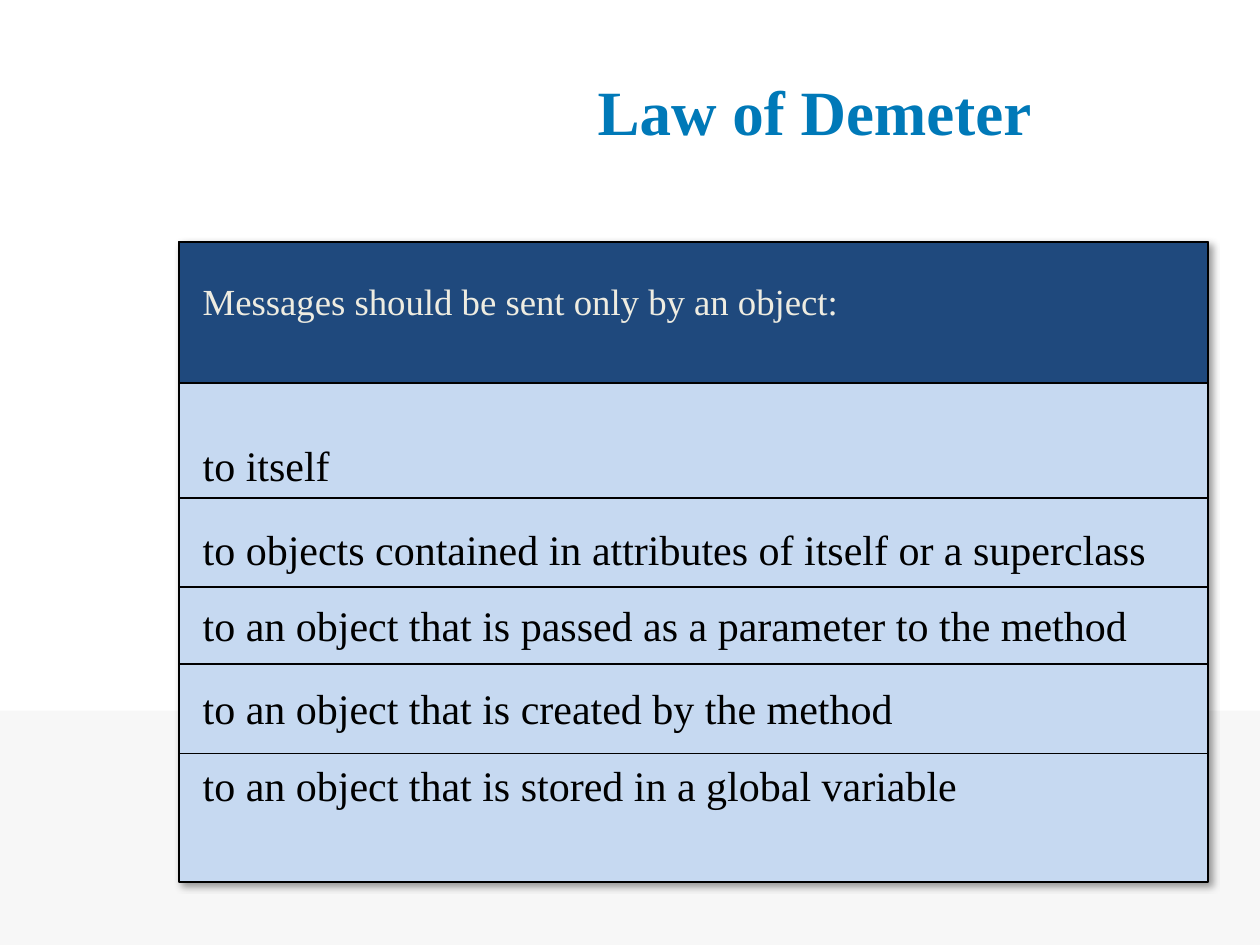
from collections import namedtuple

from lxml import etree
from pptx import Presentation
from pptx.dml.color import RGBColor
from pptx.enum.shapes import MSO_CONNECTOR, MSO_SHAPE
from pptx.enum.text import MSO_ANCHOR, PP_ALIGN
from pptx.oxml.ns import qn
from pptx.util import Inches, Pt

RECTANGLE = MSO_SHAPE.RECTANGLE
STRAIGHT = MSO_CONNECTOR.STRAIGHT
MIDDLE, TOP = MSO_ANCHOR.MIDDLE, MSO_ANCHOR.TOP
CENTER, LEFT = PP_ALIGN.CENTER, PP_ALIGN.LEFT

BLACK = RGBColor(0x00, 0x00, 0x00)
PALE_GRAY = RGBColor(0xF7, 0xF7, 0xF7)
TITLE_BLUE = RGBColor(0x00, 0x79, 0xB8)
NAVY = RGBColor(0x1F, 0x49, 0x7D)
PALE_BLUE = RGBColor(0xC6, 0xD9, 0xF1)
CREAM = RGBColor(0xEE, 0xEC, 0xE1)
FONT = "Times New Roman"

Box = namedtuple("Box", "left top width height")
PAGE = Box(0, 0, 10, 7.5)
TITLE = Box(3.35, 0.25, 6.23, 1.25)
PANEL = Box(1.42, 1.92, 8.17, 5.08)

HEADING = "Messages should be sent only by an object:"
RULES = [
    ("to itself", 9),
    ("to objects contained in attributes of itself or a superclass", 9),
    ("to an object that is passed as a parameter to the method", 4.5),
    ("to an object that is created by the method", 9),
    ("to an object that is stored in a global variable", 4.5),
]
DIVIDERS = [2.03, 2.74, 3.35, 4.06]


def inches(box):
    return [Inches(length) for length in box]


def add_text(frame, text, size, color, bold=False, align=LEFT,
             before=0, after=0, spacing=1.0, first=True):
    para = frame.paragraphs[0] if first else frame.add_paragraph()
    para.alignment = align
    para.space_before, para.space_after = Pt(before), Pt(after)
    para.line_spacing = spacing
    span = para.add_run()
    span.text = text
    span.font.name, span.font.size = FONT, Pt(size)
    span.font.bold, span.font.color.rgb = bold, color


def add_block(shapes, box, fill, outlined=True):
    block = shapes.add_shape(RECTANGLE, *inches(box))
    block.shadow.inherit = False
    block.fill.solid()
    block.fill.fore_color.rgb = fill
    if outlined:
        block.line.color.rgb, block.line.width = BLACK, Pt(1)
    else:
        block.line.fill.background()
    return block


def add_shadow(block):
    effects = block._element.spPr.find(qn("a:effectLst"))
    shadow = etree.SubElement(effects, qn("a:outerShdw"), blurRad=str(Pt(4)),
                              dist=str(Pt(3)), dir="2700000", algn="tl",
                              rotWithShape="0")
    color = etree.SubElement(shadow, qn("a:srgbClr"), val=str(BLACK))
    etree.SubElement(color, qn("a:alpha"), val="40000")


def add_divider(shapes, left, right, y):
    line = shapes.add_connector(STRAIGHT, *inches((left, y, right, y)))
    line.line.color.rgb, line.line.width = BLACK, Pt(1)
    etree.SubElement(line._element.spPr, qn("a:effectLst"))


def add_frame(shapes, box):
    frame = shapes.add_textbox(*inches(box)).text_frame
    frame.word_wrap = True
    frame.vertical_anchor = TOP
    return frame


def add_title(page, box):
    title = page.shapes.title
    title.left, title.top, title.width, title.height = inches(box)
    title.text_frame.vertical_anchor = MIDDLE
    add_text(title.text_frame, "Law of Demeter", 36, TITLE_BLUE,
             bold=True, align=CENTER)


def add_footer_band(page, box):
    height = box.height * 0.248
    band = Box(box.left, box.top + box.height - height, box.width, height)
    add_block(page.shapes, band, PALE_GRAY, outlined=False)


def add_rules_panel(page, box):
    shapes = page.shapes.add_group_shape().shapes
    add_shadow(add_block(shapes, box, PALE_BLUE))
    add_block(shapes, box._replace(height=box.height * 0.22), NAVY)
    for offset in DIVIDERS:
        add_divider(shapes, box.left, box.left + box.width, box.top + offset)

    text_left = box.left + 0.09
    heading = add_frame(shapes, Box(text_left, box.top + 0.01, 8.08, 1.4))
    heading.margin_top = Inches(0.28)
    add_text(heading, HEADING, 21, CREAM)

    rules = add_frame(shapes, Box(text_left, box.top + 1.5, 7.99, 3.83))
    for index, (rule, before) in enumerate(RULES):
        add_text(rules, rule, 24, BLACK, before=before, after=9,
                 spacing=1.04, first=index == 0)


def main():
    deck = Presentation()
    deck.slide_width, deck.slide_height = Inches(PAGE.width), Inches(PAGE.height)
    page = deck.slides.add_slide(deck.slide_layouts[5])
    add_footer_band(page, PAGE)
    add_title(page, TITLE)
    add_rules_panel(page, PANEL)
    deck.save("out.pptx")


if __name__ == "__main__":
    main()
